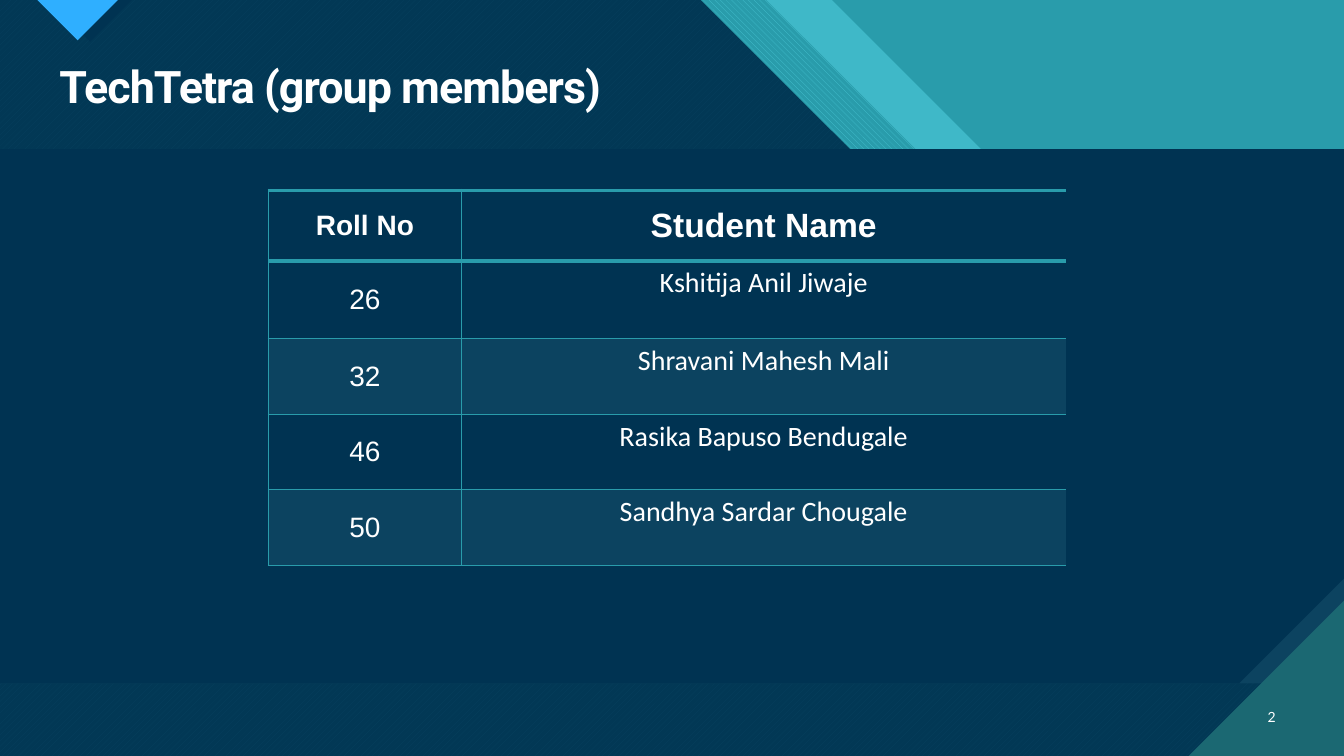
from dataclasses import dataclass

from lxml import etree
from pptx import Presentation
from pptx.dml.color import RGBColor
from pptx.enum.dml import MSO_PATTERN as Pattern
from pptx.enum.text import MSO_ANCHOR as Anchor, PP_ALIGN as Align
from pptx.oxml.ns import qn
from pptx.util import Inches, Pt


@dataclass(frozen=True)
class Theme:
    navy: str = "003352"
    stripe: str = "0C4360"
    teal: str = "299CAB"
    aqua: str = "47C3D3"
    deep_teal: str = "1B6872"
    blue: str = "2FAFFF"
    white: str = "FFFFFF"
    title_size: int = 32
    heading_size: int = 24
    body_size: int = 20
    number_size: int = 10


THEME = Theme()
WIDTH, HEIGHT = 13.33, 7.5
HEADER_BOTTOM, FOOTER_TOP = 1.48, 6.78
MEMBERS = [
    ("26", "Kshitija Anil Jiwaje"),
    ("32", "Shravani Mahesh Mali"),
    ("46", "Rasika Bapuso Bendugale"),
    ("50", "Sandhya Sardar Chougale"),
]


def rgb(color):
    return RGBColor.from_string(color)


def add_polygon(slide, points, color, opacity=100, pattern=None, back=None):
    """Draw a closed outline, its points given in inches."""
    corners = [(Inches(x), Inches(y)) for x, y in points]
    builder = slide.shapes.build_freeform(*corners[0], scale=1.0)
    builder.add_line_segments(corners[1:], close=True)
    polygon = builder.convert_to_shape()
    polygon.shadow.inherit = False
    polygon.line.fill.background()
    if pattern is not None:
        polygon.fill.patterned()
        polygon.fill.pattern = pattern
        polygon.fill.fore_color.rgb = rgb(color)
        polygon.fill.back_color.rgb = rgb(back)
        return
    polygon.fill.solid()
    polygon.fill.fore_color.rgb = rgb(color)
    if opacity < 100:
        tint = polygon.element.spPr.find(qn("a:solidFill"))[0]
        etree.SubElement(tint, qn("a:alpha"), val=str(opacity * 1000))


def slanted_band(right):
    """Outline from the left edge to a 45-degree slope starting at right."""
    return [(0, 0), (right, 0), (right + 2.97, 2.97), (WIDTH, 2.97),
            (WIDTH, HEIGHT), (0, HEIGHT)]


def down_triangle(left, right):
    middle = (left + right) / 2
    return [(left, 0), (middle, middle - left), (right, 0)]


def style_text(paragraph, text, size, font, bold=False, align=Align.LEFT):
    paragraph.text = text
    paragraph.alignment = align
    paragraph.font.size = Pt(size)
    paragraph.font.name = font
    paragraph.font.bold = bold
    paragraph.font.color.rgb = rgb(THEME.white)


def add_text(slide, box, text, size, font, anchor=Anchor.TOP, **style):
    frame = slide.shapes.add_textbox(*map(Inches, box)).text_frame
    frame.word_wrap = True
    frame.vertical_anchor = anchor
    style_text(frame.paragraphs[0], text, size, font, **style)
    return frame.paragraphs[0]


def set_borders(cell, widths):
    """Set left, right, top and bottom borders in points; 0 hides one."""
    properties = cell._tc.get_or_add_tcPr()
    for index, (side, width) in enumerate(zip("LRTB", widths)):
        border = etree.Element(qn(f"a:ln{side}"), w=str(Pt(width)))
        if width:
            fill = etree.SubElement(border, qn("a:solidFill"))
            etree.SubElement(fill, qn("a:srgbClr"), val=THEME.teal)
        else:
            etree.SubElement(border, qn("a:noFill"))
        properties.insert(index, border)


def add_member_table(slide):
    row_heights = [0.7, 0.77, 0.75, 0.75, 0.75]
    column_widths = [1.92, 5.99]
    rows = [("Roll No", "Student Name"), *MEMBERS]
    table = slide.shapes.add_table(
        len(rows), 2, Inches(2.66), Inches(1.89),
        Inches(sum(column_widths)), Inches(sum(row_heights))).table
    for column, width in zip(table.columns, column_widths):
        column.width = Inches(width)
    for r, values in enumerate(rows):
        table.rows[r].height = Inches(row_heights[r])
        header = r == 0
        for c, value in enumerate(values):
            cell = table.cell(r, c)
            is_name = c == 1 and not header
            size = THEME.heading_size if header and c else THEME.body_size
            style_text(cell.text_frame.paragraphs[0], value, size,
                       "Calibri" if is_name else "Arial", header, Align.CENTER)
            cell.vertical_anchor = Anchor.TOP if is_name else Anchor.MIDDLE
            if r and r % 2 == 0:
                cell.fill.solid()
                cell.fill.fore_color.rgb = rgb(THEME.stripe)
            else:
                cell.fill.background()
            set_borders(cell, (1, 1 - c, 3 if r < 2 else 1, 3 if header else 1))


def add_backdrop(slide):
    slide.background.fill.solid()
    slide.background.fill.fore_color.rgb = rgb(THEME.teal)

    # Slanted header bands
    add_polygon(slide, slanted_band(8.25), THEME.aqua, opacity=74)
    add_polygon(slide, slanted_band(7.6), THEME.aqua,
                pattern=Pattern.WIDE_DOWNWARD_DIAGONAL, back=THEME.teal)
    add_polygon(slide, slanted_band(6.95), THEME.aqua,
                pattern=Pattern.WIDE_UPWARD_DIAGONAL, back=THEME.deep_teal)
    add_polygon(slide, slanted_band(6.95), THEME.navy, opacity=90)

    # Marker at the top edge
    add_polygon(slide, down_triangle(0.48, 1.31), THEME.navy)
    add_polygon(slide, down_triangle(0.37, 1.17), THEME.blue)

    # Content panel with a cut corner
    for cut, color in ((0, THEME.stripe), (1.04, THEME.navy)):
        add_polygon(slide, [(0, HEADER_BOTTOM), (WIDTH, HEADER_BOTTOM),
                            (WIDTH, FOOTER_TOP - cut),
                            (WIDTH - cut, FOOTER_TOP), (0, FOOTER_TOP)], color)

    # Page number corner
    add_polygon(slide, [(11.79, HEIGHT), (WIDTH, HEIGHT), (WIDTH, 5.96)],
                THEME.deep_teal)


def main():
    deck = Presentation()
    deck.slide_width, deck.slide_height = Inches(WIDTH), Inches(HEIGHT)
    slide = deck.slides.add_slide(deck.slide_layouts[6])

    add_backdrop(slide)

    # Title
    title = add_text(slide, (0.49, 0.59, 12.26, 0.59),
                     "TechTetra (group members)", THEME.title_size, "Roboto",
                     bold=True)
    title.line_spacing = 0.9
    title.runs[0].font._element.set("spc", "-70")

    add_member_table(slide)

    # Page number
    add_text(slide, (12.31, 6.91, 0.44, 0.4), "2", THEME.number_size, "Lato",
             anchor=Anchor.MIDDLE, align=Align.RIGHT)

    deck.save("out.pptx")


if __name__ == "__main__":
    main()
